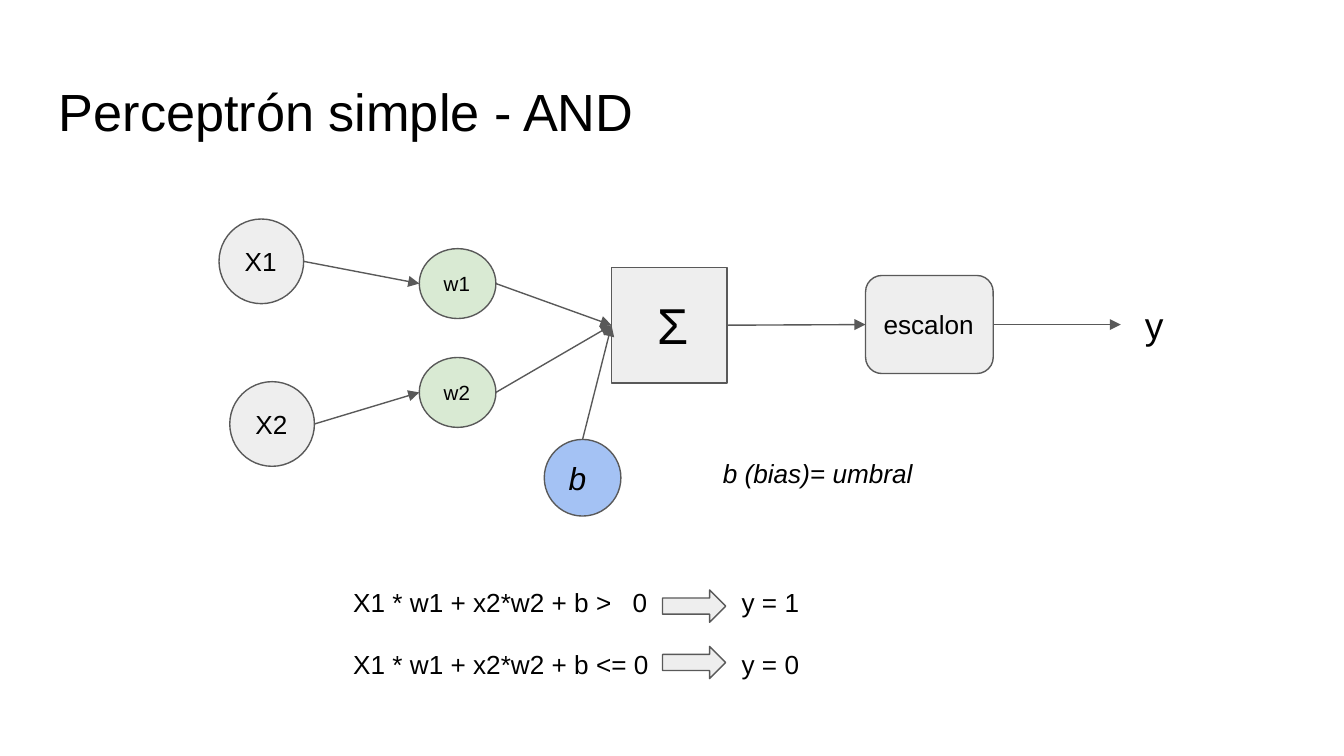
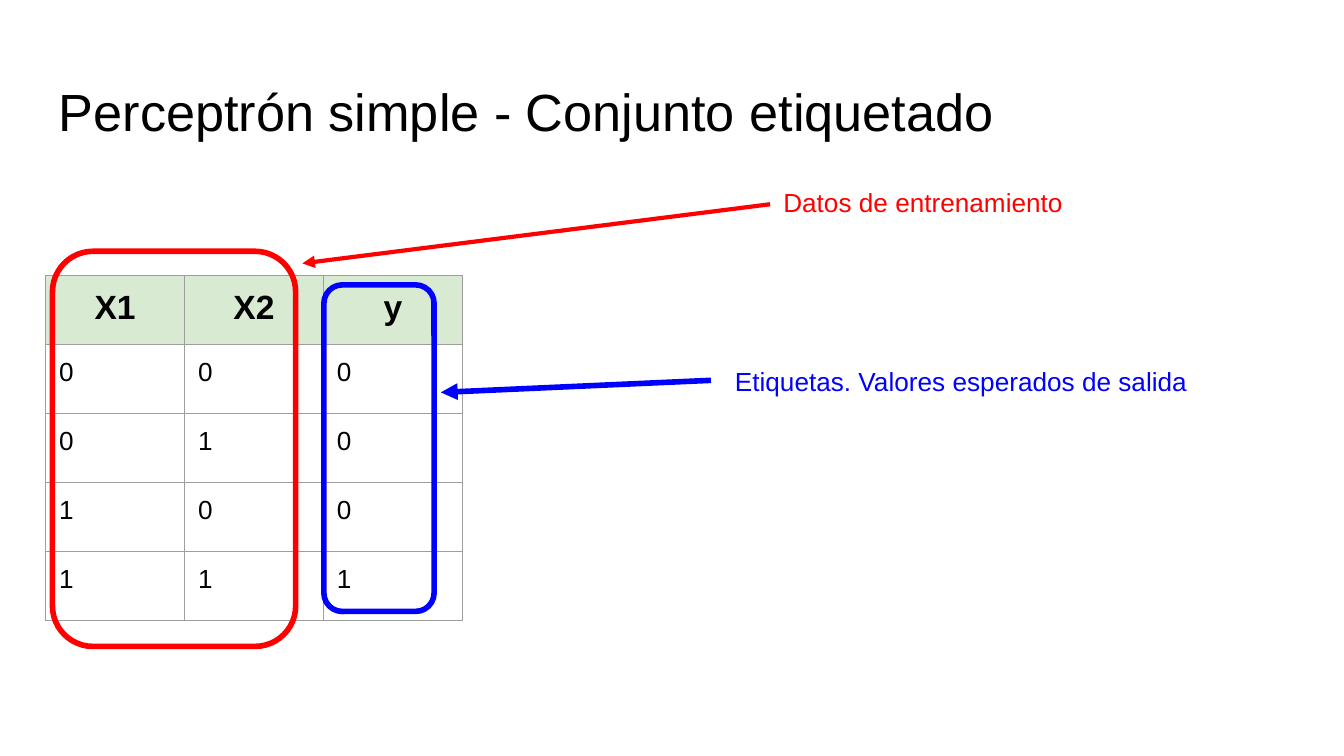
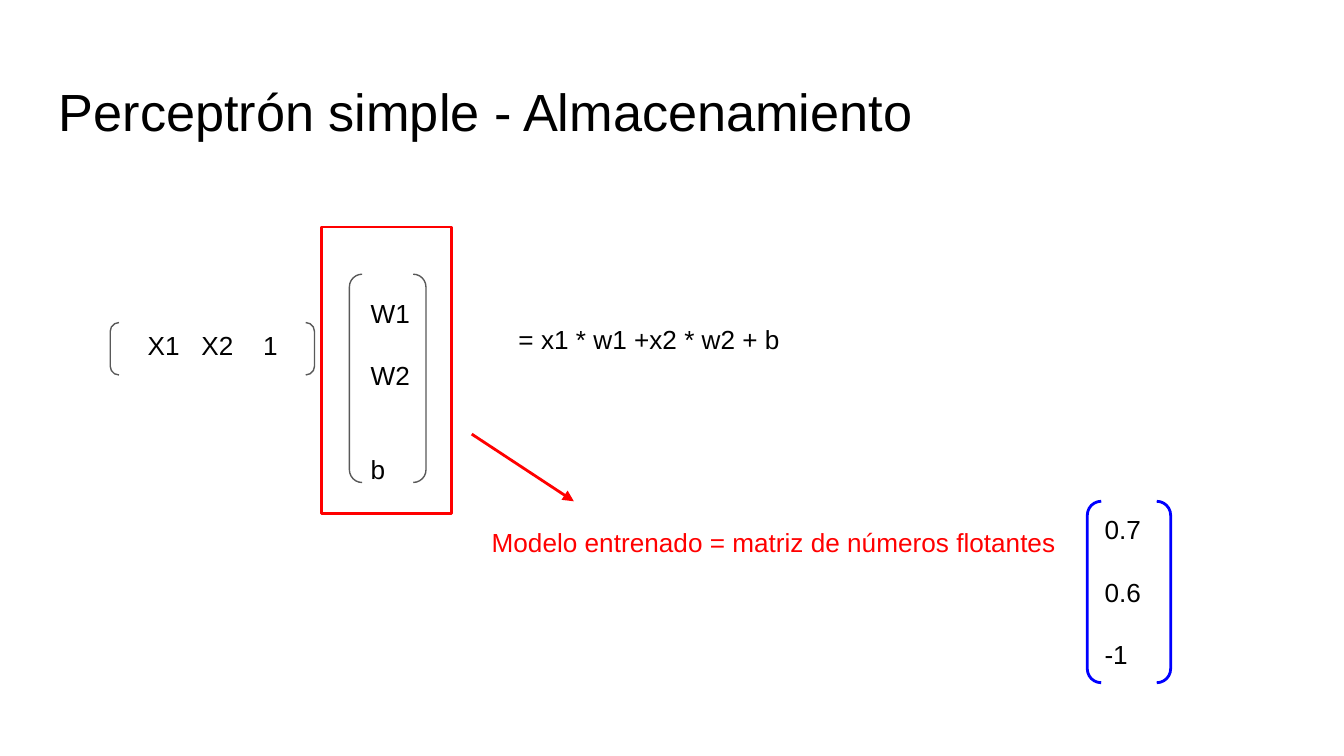
from dataclasses import dataclass
from typing import Optional

from lxml import etree
from pptx import Presentation
from pptx.dml.color import RGBColor
from pptx.enum.shapes import MSO_CONNECTOR, MSO_SHAPE
from pptx.enum.text import MSO_ANCHOR, PP_ALIGN
from pptx.oxml.ns import qn
from pptx.util import Inches, Pt

# Shared style
BLACK = RGBColor(0x00, 0x00, 0x00)
GRAY = RGBColor(0xEE, 0xEE, 0xEE)
DARK_GRAY = RGBColor(0x59, 0x59, 0x59)
GREEN = RGBColor(0xD9, 0xEA, 0xD3)
LIGHT_BLUE = RGBColor(0xA4, 0xC2, 0xF4)
RED = RGBColor(0xFF, 0x00, 0x00)
BLUE = RGBColor(0x00, 0x00, 0xFF)
BORDER = "9E9E9E"
FONT = "Arial"
BLANK_LAYOUT = 6
SLIDE_WIDTH = Inches(10)
SLIDE_HEIGHT = SLIDE_WIDTH * 9 // 16
TOP, LEFT, BOTTOM, RIGHT = range(4)
LINE_GAP = 16.7  # points between spaced lines

Point = tuple[float, float]
Box = tuple[float, float, float, float]


@dataclass(frozen=True)
class Words:
    """Text lines with their format; gaps are points before each later line."""
    lines: tuple[str, ...]
    size: float = 14
    color: RGBColor = BLACK
    bold: bool = False
    italic: bool = False
    gaps: tuple[float, ...] = ()
    tabs: tuple[float, ...] = ()


@dataclass(frozen=True)
class Node:
    """A preset shape, with or without text."""
    kind: MSO_SHAPE
    box: Box
    fill: Optional[RGBColor] = GRAY
    words: Optional[Words] = None
    line: RGBColor = DARK_GRAY
    width: float = 0.75


@dataclass(frozen=True)
class Label:
    """A text box."""
    box: Box
    words: Words


def write(frame, words: Words, anchor=MSO_ANCHOR.TOP, align=PP_ALIGN.LEFT) -> None:
    margins = {f"margin_{side}": Inches(0.1) for side in ("left", "top", "right", "bottom")}
    for name, value in {**margins, "word_wrap": True, "vertical_anchor": anchor}.items():
        setattr(frame, name, value)
    for index, line in enumerate(words.lines):
        paragraph = frame.paragraphs[0] if index == 0 else frame.add_paragraph()
        paragraph.alignment = align
        if index and words.gaps:
            paragraph.space_before = Pt(words.gaps[index - 1])
        if words.tabs:
            tab_list = etree.SubElement(paragraph._p.get_or_add_pPr(), qn("a:tabLst"))
            for tab in words.tabs:
                etree.SubElement(tab_list, qn("a:tab"), pos=str(Inches(tab)), algn="l")
        run = paragraph.add_run()
        run.text = line
        style = {"name": FONT, "size": Pt(words.size), "bold": words.bold, "italic": words.italic}
        for name, value in style.items():
            setattr(run.font, name, value)
        run.font.color.rgb = words.color


def draw_label(slide, label: Label) -> None:
    text_box = slide.shapes.add_textbox(*map(Inches, label.box))
    write(text_box.text_frame, label.words)


def draw_node(slide, node: Node):
    shape = slide.shapes.add_shape(node.kind, *map(Inches, node.box))
    shape.shadow.inherit = False
    if node.fill is None:
        shape.fill.background()
    else:
        shape.fill.solid()
        shape.fill.fore_color.rgb = node.fill
    shape.line.color.rgb = node.line
    shape.line.width = Pt(node.width)
    if node.words:
        write(shape.text_frame, node.words, MSO_ANCHOR.MIDDLE)
    return shape


def draw_arrow(slide, start: Point, end: Point, color=DARK_GRAY, width: float = 0.75):
    connector = slide.shapes.add_connector(
        MSO_CONNECTOR.STRAIGHT, *map(Inches, (*start, *end)))
    connector.line.color.rgb = color
    connector.line.width = Pt(width)
    etree.SubElement(connector.line._get_or_add_ln(), qn("a:tailEnd"), type="triangle")
    etree.SubElement(connector._element.spPr, qn("a:effectLst"))
    return connector


def side_point(node: Node, side: int) -> Point:
    left, top, width, height = node.box
    across, down = {TOP: (0.5, 0), LEFT: (0, 0.5), BOTTOM: (0.5, 1), RIGHT: (1, 0.5)}[side]
    return left + across * width, top + down * height


def new_slide(presentation, title: str):
    slide = presentation.slides.add_slide(presentation.slide_layouts[BLANK_LAYOUT])
    draw_label(slide, Label((0.34, 0.49, 9.32, 0.63), Words((title,), 28)))
    return slide


def draw_table(slide, box: Box, rows: list[str]) -> None:
    graphic = slide.shapes.add_table(len(rows), len(rows[0].split()), *map(Inches, box))
    table = graphic.table
    table.horz_banding = False
    for row_index, row in enumerate(rows):
        header = row_index == 0
        for column_index, value in enumerate(row.split()):
            cell = table.cell(row_index, column_index)
            words = Words((value,), 18 if header else 14, bold=header)
            write(cell.text_frame, words, align=PP_ALIGN.CENTER if header else PP_ALIGN.LEFT)
            for side in ("left", "top", "right", "bottom"):
                setattr(cell, f"margin_{side}", Inches(0.1))
            properties = cell._tc.get_or_add_tcPr()
            for edge in ("lnL", "lnR", "lnT", "lnB"):
                line = etree.SubElement(properties, qn(f"a:{edge}"), w=str(Pt(0.75)))
                fill = etree.SubElement(line, qn("a:solidFill"))
                etree.SubElement(fill, qn("a:srgbClr"), val=BORDER)
            if header:
                cell.fill.solid()
                cell.fill.fore_color.rgb = GREEN
            else:
                cell.fill.background()


def perceptron_slide(presentation) -> None:
    slide = new_slide(presentation, "Perceptrón simple - AND")
    oval = MSO_SHAPE.OVAL
    nodes = {
        "x1": Node(oval, (1.63, 1.63, 0.63, 0.63), words=Words(("X1",))),
        "x2": Node(oval, (1.71, 2.84, 0.63, 0.63), words=Words(("X2",))),
        "sum": Node(MSO_SHAPE.RECTANGLE, (4.55, 1.99, 0.86, 0.86)),
        "w1": Node(oval, (3.12, 1.85, 0.57, 0.52), GREEN, Words(("w1",), 11)),
        "w2": Node(oval, (3.12, 2.66, 0.57, 0.52), GREEN, Words(("w2",), 11)),
        "step": Node(MSO_SHAPE.ROUNDED_RECTANGLE, (6.44, 2.05, 0.95, 0.73),
                     words=Words(("escalon",))),
        "bias": Node(oval, (4.05, 3.27, 0.57, 0.57), LIGHT_BLUE, Words(("b",), 17, italic=True)),
    }
    shapes = {name: draw_node(slide, node) for name, node in nodes.items()}

    # Network links, joined where they meet a rectangle
    links = [("x1", RIGHT, "w1"), ("x2", RIGHT, "w2"), ("w1", RIGHT, "sum"),
             ("w2", RIGHT, "sum"), ("sum", RIGHT, "step"), ("bias", TOP, "sum")]
    for source, side, target in links:
        arrow = draw_arrow(slide, side_point(nodes[source], side), side_point(nodes[target], LEFT))
        if nodes[source].kind != oval:
            arrow.begin_connect(shapes[source], side)
        if nodes[target].kind != oval:
            arrow.end_connect(shapes[target], LEFT)
    output_start = side_point(nodes["step"], RIGHT)
    output = draw_arrow(slide, output_start, (8.34, output_start[1]))
    output.begin_connect(shapes["step"], RIGHT)

    # Symbols and decision rule
    rule = ("X1 * w1 + x2*w2 + b >\t0\ty = 1", "X1 * w1 + x2*w2 + b <= 0\ty = 0")
    for label in (
        Label((4.79, 2.09, 0.42, 0.66), Words(("Σ",), 27)),
        Label((8.42, 2.15, 0.37, 0.54), Words(("y",), 20)),
        Label((2.53, 4.26, 4.46, 0.91), Words(rule, gaps=(LINE_GAP,), tabs=(2.08, 2.89))),
        Label((5.28, 3.3, 2.43, 0.44), Words(("b (bias)= umbral",), italic=True)),
    ):
        draw_label(slide, label)
    for top in (4.39, 4.81):
        draw_node(slide, Node(MSO_SHAPE.RIGHT_ARROW, (4.93, top, 0.47, 0.24)))


def training_set_slide(presentation) -> None:
    slide = new_slide(presentation, "Perceptrón simple - Conjunto etiquetado")
    draw_table(slide, (0.34, 2.05, 3.1, 2.57), ["X1 X2 y", "0 0 0", "0 1 0", "1 0 0", "1 1 1"])

    # Each column group: frame, arrow and caption in one colour
    groups = [
        (RED, (0.39, 1.87, 1.81, 2.94), (5.73, 1.52), (2.25, 1.96), 2.25,
         (5.73, 1.29, 4.44, 0.44), "Datos de entrenamiento"),
        (BLUE, (2.41, 2.12, 0.82, 2.43), (5.29, 2.83), (3.28, 2.92), 3,
         (5.37, 2.62, 4.44, 0.44), "Etiquetas. Valores esperados de salida"),
    ]
    for color, frame, start, end, width, caption_box, caption in groups:
        draw_node(slide, Node(MSO_SHAPE.ROUNDED_RECTANGLE, frame, None, line=color, width=3))
        draw_arrow(slide, start, end, color, width)
        draw_label(slide, Label(caption_box, Words((caption,), color=color)))


def storage_slide(presentation) -> None:
    slide = new_slide(presentation, "Perceptrón simple - Almacenamiento")
    bracket = MSO_SHAPE.DOUBLE_BRACKET

    # Matrix product
    for label in (
        Label((1, 2.35, 1.23, 0.44), Words(("X1\tX2\t1",), tabs=(0.4, 0.86))),
        Label((2.66, 2.11, 0.51, 1.62), Words(("W1", "W2", "b"), gaps=(LINE_GAP, 2 * LINE_GAP))),
        Label((3.76, 2.31, 2.2, 0.44), Words(("= x1 * w1 +x2 * w2 + b",))),
        Label((3.56, 3.82, 4.44, 0.44),
              Words(("Modelo entrenado = matriz de números flotantes",), color=RED)),
    ):
        draw_label(slide, label)

    # Brackets, highlight and trained weights
    weights = Words(("0.7", "0.6", "-1"), gaps=(LINE_GAP, LINE_GAP))
    for node in (
        Node(bracket, (2.6, 2.04, 0.57, 1.55), None),
        Node(bracket, (0.82, 2.4, 1.52, 0.39), None),
        Node(MSO_SHAPE.RECTANGLE, (2.39, 1.69, 0.97, 2.13), None, line=RED, width=1.5),
        Node(bracket, (8.09, 3.73, 0.62, 1.35), None, weights, BLUE, 1.5),
    ):
        draw_node(slide, node)
    draw_arrow(slide, (3.51, 3.23), (4.27, 3.73), RED, 1.5)


def main() -> None:
    presentation = Presentation()
    presentation.slide_width = SLIDE_WIDTH
    presentation.slide_height = SLIDE_HEIGHT
    perceptron_slide(presentation)
    training_set_slide(presentation)
    storage_slide(presentation)
    presentation.save("out.pptx")


if __name__ == "__main__":
    main()
